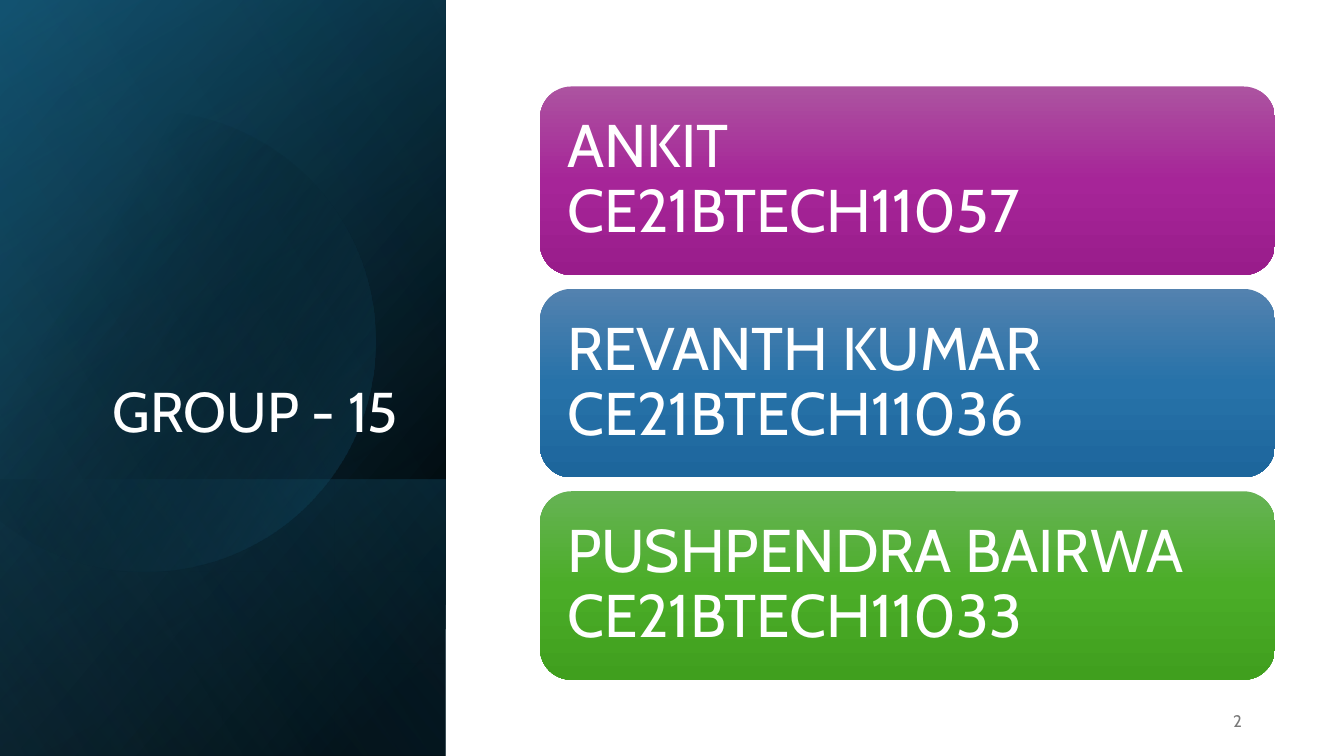
from math import acos, cos, pi, sin

from pptx import Presentation
from pptx.dml.color import RGBColor
from pptx.enum.shapes import MSO_SHAPE as Shape
from pptx.enum.text import MSO_ANCHOR as Anchor, PP_ALIGN as Align
from pptx.oxml import parse_xml
from pptx.oxml.ns import nsdecls, qn
from pptx.util import Cm, Pt

TITLE = "GROUP - 15"
PAGE = "2"
FONT = "Cabin"
HUES = {
    "white": "FFFFFF", "grey": "797979", "black": "000000",
    "deep": "104862", "teal": "156082", "sky": "46B1E1",
}
# Name, roll number, gradient from top to bottom
CARDS = [
    ("ANKIT", "CE21BTECH11057", ("AC53A0", "A62598", "991C8B")),
    ("REVANTH KUMAR", "CE21BTECH11036", ("5382AF", "2772A9", "1D669C")),
    ("PUSHPENDRA BAIRWA", "CE21BTECH11033", ("66B354", "4BAD28", "409F1E")),
]
# Gradient stops are (position %, colour, opacity %)
BASE = [(8, HUES["black"], 100), (100, HUES["deep"], 100)]
GLOW = [(0, HUES["black"], 0), (99, HUES["teal"], 46)]
FOOT = [(2, HUES["teal"], 29), (100, HUES["black"], 30)]
DISC = [(29, HUES["black"], 0), (100, HUES["teal"], 43)]
SHEEN = [(0, HUES["black"], 0), (99, HUES["sky"], 11)]

WIDE, HIGH = 33.87, 19.05
PANEL = 11.23
FOOT_TOP = 12.09
CARD_X, CARD_Y, CARD_W, CARD_H, STEP = 13.61, 2.18, 18.52, 4.75, 5.1


def shade(shape, stops, angle):
    """Fill a shape with a linear gradient, without line or shadow."""
    shape.shadow.inherit = False
    shape.line.fill.background()
    shape.fill.background()
    marks = "".join(
        f'<a:gs pos="{pos * 1000}"><a:srgbClr val="{hue}">'
        f'<a:alpha val="{alpha * 1000}"/></a:srgbClr></a:gs>'
        for pos, hue, alpha in stops)
    grad = parse_xml(
        f'<a:gradFill {nsdecls("a")} rotWithShape="1"><a:gsLst>{marks}</a:gsLst>'
        f'<a:lin ang="{angle * 60000}" scaled="0"/></a:gradFill>')
    props = shape._element.spPr
    props.replace(props.find(qn("a:noFill")), grad)


def write(shape, text, size, hue="white", align=Align.LEFT,
          anchor=Anchor.MIDDLE, space=1.0, inset=0.25):
    frame = shape.text_frame
    frame.word_wrap = True
    frame.vertical_anchor = anchor
    frame.margin_left = frame.margin_right = Cm(inset)
    frame.text = text
    para = frame.paragraphs[0]
    para.alignment = align
    para.line_spacing = space
    for run in para.runs:
        run.font.name = FONT
        run.font.size = Pt(size)
        run.font.color.rgb = RGBColor.from_string(HUES[hue])


def veil(shapes, top, stops, angle):
    """Add a turned, mirrored layer from top to the foot of the panel."""
    tall = HIGH - top
    layer = shapes.add_shape(
        Shape.RECTANGLE, Cm((PANEL - tall) / 2), Cm(top + (tall - PANEL) / 2),
        Cm(tall), Cm(PANEL))
    layer.rotation = 90
    layer._element.spPr.xfrm.set("flipH", "1")
    shade(layer, stops, angle)


def disc(shapes, mid_x=3.66, mid_y=8.59, radius=5.8, edge=-0.38, steps=120):
    """Add a circle cut off by a vertical edge on its left."""
    limit = acos((edge - mid_x) / radius)
    turns = [limit * (2 * i / steps - 1) for i in range(steps + 1)]
    dots = [(Cm(mid_x + radius * cos(t)), Cm(mid_y + radius * sin(t)))
            for t in turns]
    build = shapes.build_freeform(*dots[0])
    build.add_line_segments(dots[1:], close=True)
    shade(build.convert_to_shape(), DISC, 30)


def main():
    deck = Presentation()
    deck.slide_width, deck.slide_height = Cm(WIDE), Cm(HIGH)
    slide = deck.slides.add_slide(deck.slide_layouts[5])
    shapes = slide.shapes

    veil(shapes, 0, BASE, 50)
    veil(shapes, 0, GLOW, 30)
    veil(shapes, FOOT_TOP, FOOT, 130)
    disc(shapes)
    veil(shapes, 0, SHEEN, 120)

    title = shapes.title
    title.left, title.top = Cm(1.63), Cm(4.67)
    title.width, title.height = Cm(8.66), Cm(6.65)
    write(title, TITLE, 40, align=Align.RIGHT, anchor=Anchor.BOTTOM, space=0.9)
    shapes._spTree.append(title._element)  # bring in front of the panel

    for row, (name, roll, hues) in enumerate(CARDS):
        card = shapes.add_shape(
            Shape.ROUNDED_RECTANGLE, Cm(CARD_X), Cm(CARD_Y + row * STEP),
            Cm(CARD_W), Cm(CARD_H))
        shade(card, [(50 * i, hue, 100) for i, hue in enumerate(hues)], 90)
        write(card, f"{name}\v{roll}", 43, space=0.9, inset=0.45)

    page = shapes.add_textbox(Cm(23.93), Cm(17.65), Cm(7.62), Cm(1.02))
    write(page, PAGE, 12, hue="grey", align=Align.RIGHT)
    deck.save("out.pptx")


if __name__ == "__main__":
    main()
